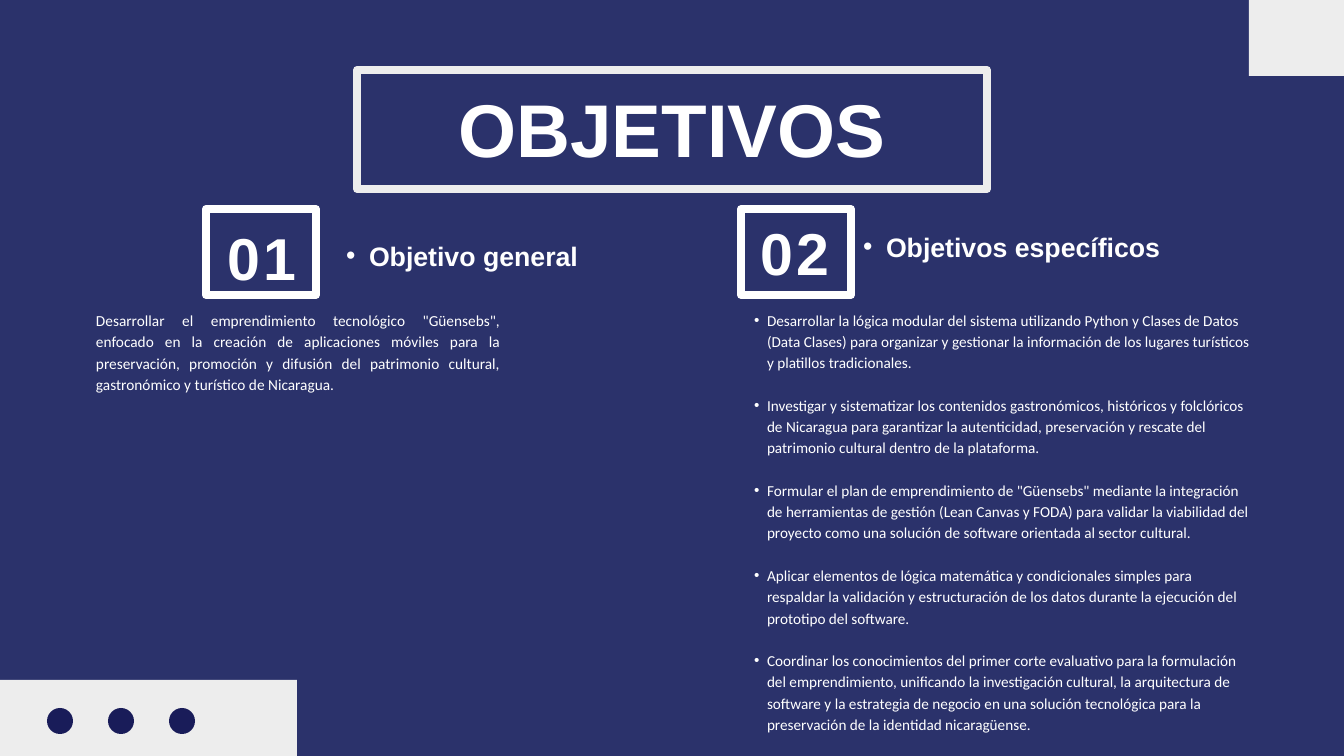
from lxml.etree import SubElement
from pptx import Presentation
from pptx.dml.color import RGBColor
from pptx.enum.shapes import MSO_SHAPE as Shape
from pptx.enum.text import PP_ALIGN as Align
from pptx.oxml.ns import qn
from pptx.util import Pt

EMU_PER_PX = 914400 / 67.2
WIDTH, HEIGHT = 1344, 756
COLORS = {"background": "2B326B", "panel": "EDEDED", "dot": "191C59", "white": "FFFFFF"}

GENERAL = (
    'Desarrollar el emprendimiento tecnológico "Güensebs", enfocado en la creación de '
    "aplicaciones móviles para la preservación, promoción y difusión del patrimonio "
    "cultural, gastronómico y turístico de Nicaragua."
)
SPECIFIC = [
    "Desarrollar la lógica modular del sistema utilizando Python y Clases de Datos "
    "(Data Clases) para organizar y gestionar la información de los lugares turísticos "
    "y platillos tradicionales.",
    "Investigar y sistematizar los contenidos gastronómicos, históricos y folclóricos "
    "de Nicaragua para garantizar la autenticidad, preservación y rescate del "
    "patrimonio cultural dentro de la plataforma.",
    'Formular el plan de emprendimiento de "Güensebs" mediante la integración de '
    "herramientas de gestión (Lean Canvas y FODA) para validar la viabilidad del "
    "proyecto como una solución de software orientada al sector cultural.",
    "Aplicar elementos de lógica matemática y condicionales simples para respaldar la "
    "validación y estructuración de los datos durante la ejecución del prototipo del "
    "software.",
    "Coordinar los conocimientos del primer corte evaluativo para la formulación del "
    "emprendimiento, unificando la investigación cultural, la arquitectura de software "
    "y la estrategia de negocio en una solución tecnológica para la preservación de la "
    "identidad nicaragüense.",
]


def px(length):
    return round(length * EMU_PER_PX)


def color(name):
    return RGBColor.from_string(COLORS[name])


class ObjectivesSlide:
    def __init__(self, slide):
        self.slide = slide
        slide.background.fill.solid()
        slide.background.fill.fore_color.rgb = color("background")

    def _shape(self, kind, box):
        shape = self.slide.shapes.add_shape(kind, *map(px, box))
        shape.shadow.inherit = False
        return shape

    def solid(self, kind, box, fill):
        shape = self._shape(kind, box)
        shape.fill.solid()
        shape.fill.fore_color.rgb = color(fill)
        shape.line.fill.background()

    def frame(self, box, line):
        shape = self._shape(Shape.RECTANGLE, box)
        shape.fill.background()
        shape.line.color.rgb = color(line)
        shape.line.width = Pt(8.25)

    def text(self, box, paragraphs, size, leading, font="Arial", bold=False,
             align=Align.LEFT, hang=0, gap=0, tracking=0):
        """Add a text box; a hang in px gives its paragraphs bullets, gap is in points."""
        frame = self.slide.shapes.add_textbox(*map(px, box)).text_frame
        frame.word_wrap = True
        frame.margin_left = frame.margin_top = frame.margin_right = frame.margin_bottom = 0
        for index, content in enumerate(paragraphs):
            paragraph = frame.add_paragraph() if index else frame.paragraphs[0]
            run = paragraph.add_run()
            run.text = content
            if tracking:
                run._r.get_or_add_rPr().set("spc", str(tracking))
            if hang:
                self._bullet(paragraph, hang)
            paragraph.alignment = align
            paragraph.line_spacing = Pt(leading)
            if index and gap:
                paragraph.space_before = Pt(gap)
            paragraph.font.name = font
            paragraph.font.size = Pt(size)
            paragraph.font.bold = bold
            paragraph.font.color.rgb = color("white")

    def _bullet(self, paragraph, hang):
        paragraph.level = 1
        properties = paragraph._p.get_or_add_pPr()
        properties.set("marL", str(px(2 * hang)))
        properties.set("indent", str(-px(hang)))
        SubElement(properties, qn("a:buFont")).set("typeface", "Arial")
        SubElement(properties, qn("a:buChar")).set("char", "•")

    def number(self, left, label, text_left, text_top):
        self.frame((left, 209, 110, 86), "white")
        self.text((text_left, text_top, 161, 72), [label], 63.3, 77.8,
                  bold=True, align=Align.CENTER, tracking=350)

    def heading(self, left, top, label):
        self.text((left, top, 323, 33), [label], 28.6, 35.1, bold=True, hang=23)


def main():
    presentation = Presentation()
    presentation.slide_width, presentation.slide_height = px(WIDTH), px(HEIGHT)
    blank = presentation.slide_layouts[6]
    page = ObjectivesSlide(presentation.slides.add_slide(blank))

    page.solid(Shape.RECTANGLE, (0, 680, 297, HEIGHT - 680), "panel")
    page.solid(Shape.RECTANGLE, (1249, 0, WIDTH - 1249, 76), "panel")
    for position in range(3):
        page.solid(Shape.OVAL, (47 + 61 * position, 708, 26, 26), "dot")

    page.frame((357, 70, 630, 119), "panel")
    page.text((357, 81, 630, 91), ["OBJETIVOS"], 80, 98.4, bold=True, align=Align.CENTER)

    page.number(206, "01", 181, 220)
    page.number(741, "02", 714, 215)
    page.heading(323, 239, "Objetivo general")
    page.heading(840, 230, "Objetivos específicos")

    page.text((96, 308, 404, 83), [GENERAL], 16.4, 23, font="Calibri", align=Align.JUSTIFY)
    page.text((741, 308, 509, 448), SPECIFIC, 16.3, 22.8, font="Calibri", hang=13, gap=22.8)

    presentation.save("out.pptx")


if __name__ == "__main__":
    main()
